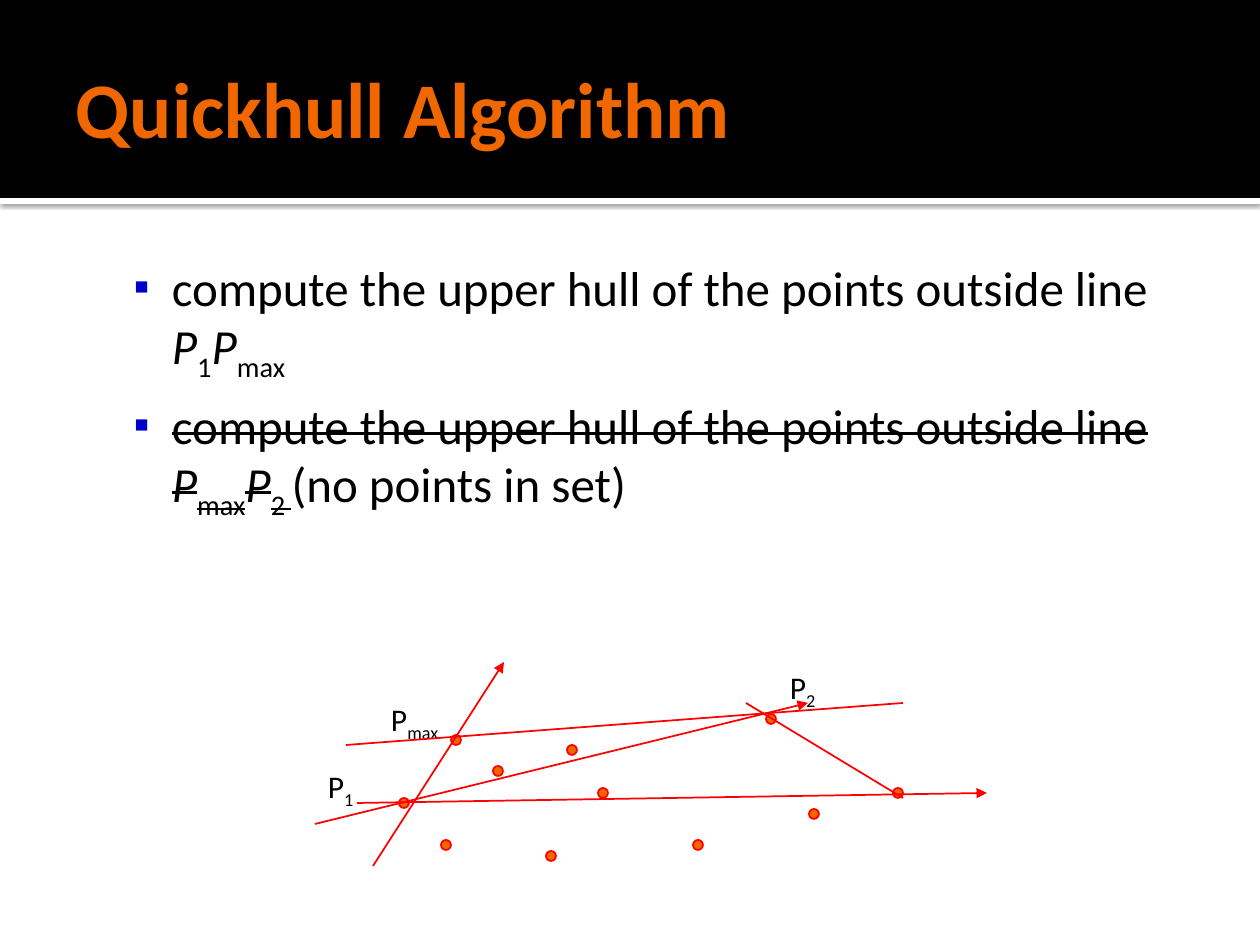
"""Build the Quickhull Algorithm slide with its point set and hull lines."""
from lxml.etree import SubElement
from pptx import Presentation
from pptx.dml.color import RGBColor
from pptx.enum.shapes import MSO_CONNECTOR as Connector, MSO_SHAPE as Shape
from pptx.enum.text import MSO_ANCHOR as Anchor
from pptx.oxml.ns import qn
from pptx.util import Emu, Pt

SCALE = 914400 / 126
COLORS = {"black": "000000", "white": "FFFFFF", "orange": "F06700",
          "red": "FF0000", "bullet": "0000CC"}
FONT = "Calibri"

PLAIN, ITALIC = {}, {"i": "1"}
SUB = {"baseline": "-25000"}
STRIKE = {"strike": "sngStrike"}

TITLE = [("Quickhull Algorithm", {"b": "1"})]
STEPS = [
    [("compute the upper hull of the points outside line ", PLAIN),
     ("P", ITALIC), ("1", SUB), ("P", ITALIC), ("max", SUB)],
    [("compute the upper hull of the points outside line ", STRIKE),
     ("P", STRIKE | ITALIC), ("max", STRIKE | SUB),
     ("P", STRIKE | ITALIC), ("2 ", STRIKE | SUB),
     ("(no points in set)", PLAIN)],
]
BANDS = [((0, 198, 1260, 6), "white"), ((0, 0, 1260, 198), "black")]
POINTS = [(898, 793), (404, 803), (814, 814), (446, 845), (456, 740),
          (498, 771), (603, 793), (551, 856), (572, 750), (698, 845),
          (771, 719)]
DOT = 10
LABELS = [("1", (315, 761, 63, 63)), ("2", (777, 662, 63, 63)),
          ("max", (378, 694, 97, 63))]
LINES = [((746, 703), (903, 798), False), ((808, 703), (315, 824), True),
         ((987, 793), (357, 803), True), ((903, 703), (346, 745), False),
         ((504, 662), (373, 866), True)]


def px(*values):
    return [Emu(round(value * SCALE)) for value in values]


def color(name):
    return RGBColor.from_string(COLORS[name])


def add_child(parent, tag, **values):
    child = SubElement(parent, qn(tag))
    for key, value in values.items():
        child.set(key, str(value))
    return child


def add_shape(page, kind, place, fill, outline=None):
    shape = page.shapes.add_shape(kind, *px(*place))
    shape.shadow.inherit = False
    shape.fill.solid()
    shape.fill.fore_color.rgb = color(fill)
    if outline:
        shape.line.color.rgb = color(outline)
        shape.line.width = Pt(1)
    else:
        shape.line.fill.background()
    return shape


def add_box(page, place, margins, wrap=True, anchor=Anchor.TOP):
    frame = page.shapes.add_textbox(*px(*place)).text_frame
    sides = ("left", "top", "right", "bottom")
    settings = {f"margin_{side}": size for side, size in zip(sides, px(*margins))}
    settings |= {"word_wrap": wrap, "vertical_anchor": anchor}
    for key, value in settings.items():
        setattr(frame, key, value)
    return frame


def write(para, spans, size, fill="black"):
    for text, marks in spans:
        span = para.add_run()
        span.text = text
        for key, value in {"name": FONT, "size": Pt(size)}.items():
            setattr(span.font, key, value)
        span.font.color.rgb = color(fill)
        for key, value in marks.items():
            span.font._element.set(key, value)


def add_bullet(para):
    indent, hanging = px(101, -38)
    props = para._p.get_or_add_pPr()
    for key, value in {"marL": indent, "indent": hanging, "lvl": 1}.items():
        props.set(key, str(value))
    add_child(add_child(props, "a:buClr"), "a:srgbClr", val=COLORS["bullet"])
    add_child(props, "a:buSzPct", val=90000)
    add_child(props, "a:buFont", typeface=FONT)
    add_child(props, "a:buChar", char="▪")


def add_shadow(shape):
    effects = shape._element.spPr.find(qn("a:effectLst"))
    shadow = add_child(effects, "a:outerShdw", blurRad=Pt(2.5), dist=Pt(0.8),
                       dir=5400000, algn="tl", rotWithShape=0)
    tint = add_child(shadow, "a:srgbClr", val=COLORS["black"])
    add_child(tint, "a:alpha", val=60000)


def add_line(page, start, end, arrow):
    line = page.shapes.add_connector(Connector.STRAIGHT, *px(*start, *end))
    line.line.color.rgb = color("red")
    line.line.width = Pt(1)
    if arrow:
        add_child(line.line._get_or_add_ln(), "a:headEnd", type="triangle")
    add_child(line._element.spPr, "a:effectLst")


def main():
    deck = Presentation()
    deck.slide_width, deck.slide_height = px(1260, 945)
    page = deck.slides.add_slide(deck.slide_layouts[6])

    strip, _ = [add_shape(page, Shape.RECTANGLE, *band) for band in BANDS]
    add_shadow(strip)

    title = add_box(page, (63, 21, 1134, 173), (13, 6, 6, 6), anchor=Anchor.MIDDLE)
    write(title.paragraphs[0], TITLE, 45, "orange")

    body = add_box(page, (63, 244, 1134, 638), (8, 13, 13, 6))
    for index, spans in enumerate(STEPS):
        para = body.add_paragraph() if index else body.paragraphs[0]
        add_bullet(para)
        if index:
            para.space_before = Pt(7)
        write(para, spans, 28)

    for x, y in POINTS:
        place = (x - DOT / 2, y - DOT / 2, DOT, DOT)
        add_shape(page, Shape.OVAL, place, "orange", "red")
    for index, place in LABELS:
        label = add_box(page, place, (13, 6, 13, 6), wrap=False)
        write(label.paragraphs[0], [("P", PLAIN), (index, SUB)], 18)
    for line in LINES:
        add_line(page, *line)

    deck.save("out.pptx")


if __name__ == "__main__":
    main()
